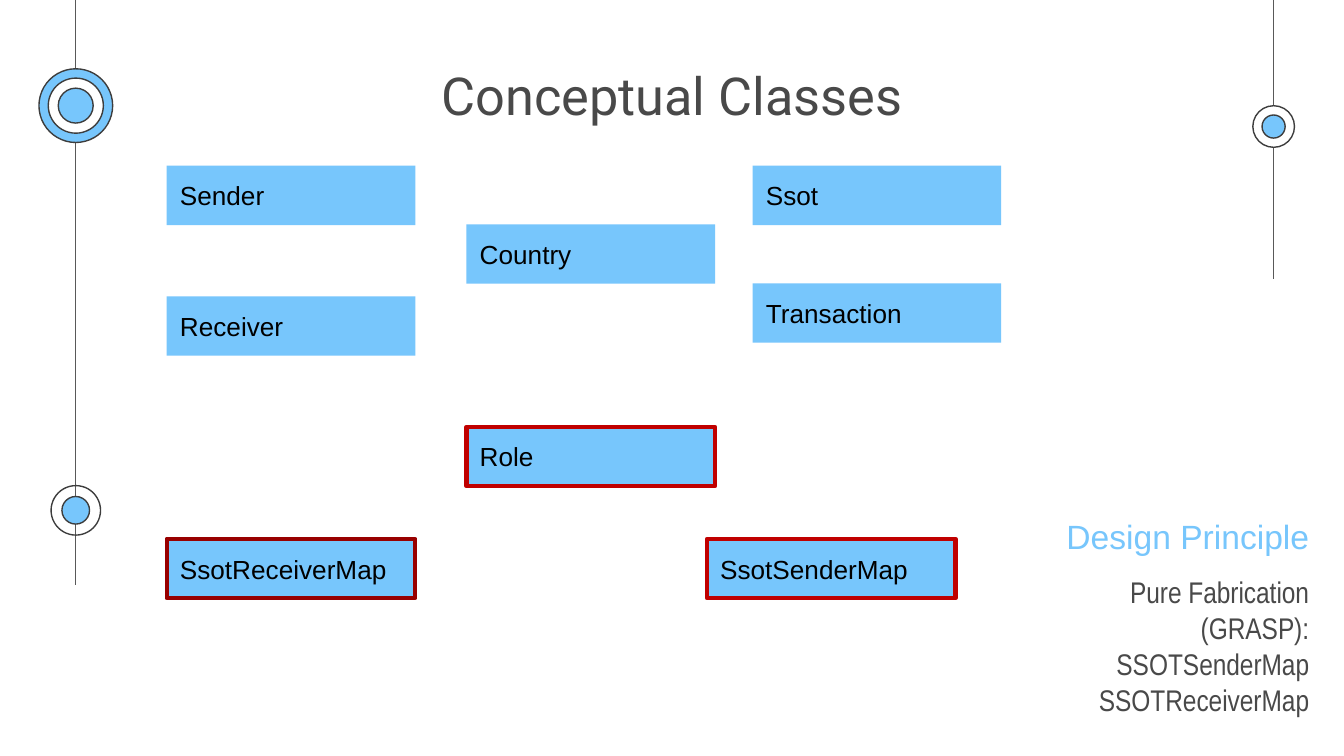
from pptx import Presentation
from pptx.dml.color import RGBColor
from pptx.enum.shapes import MSO_CONNECTOR as Connector, MSO_SHAPE as Shape
from pptx.enum.text import MSO_ANCHOR as Anchor, MSO_AUTO_SIZE as AutoSize, PP_ALIGN as Align
from pptx.oxml.ns import qn
from pptx.util import Pt
from lxml import etree

COLORS = {
    "blue": "77C6FC",
    "white": "FFFFFF",
    "outline": "3D3D3D",
    "rail": "595959",
    "gray": "494949",
    "black": "000000",
    "red": "C00000",
    "dark_red": "980000",
}
CLASS_W, CLASS_H = 133.2, 31.8
LEFT, MIDDLE, RIGHT = 89.3, 249.9, 403.2
CLASSES = [  # name, left, top, border
    ("Sender", LEFT, 88.8, None),
    ("SsotReceiverMap", LEFT, 288.7, "dark_red"),
    ("Receiver", LEFT, 158.8, None),
    ("Transaction", RIGHT, 151.8, None),
    ("SsotSenderMap", 378.7, 288.7, "red"),
    ("Ssot", RIGHT, 88.8, None),
    ("Country", MIDDLE, 120.2, None),
    ("Role", MIDDLE, 228.7, "red"),
]


def rgb(name):
    return RGBColor.from_string(COLORS[name])


def place(shape, box):
    shape.left, shape.top, shape.width, shape.height = map(Pt, box)


def write(shape, *texts, size, font="Arial", color="gray", align=Align.LEFT,
          anchor=Anchor.TOP, indent=0, auto_size=AutoSize.NONE):
    """Fill a shape with one paragraph per text; a newline is a line break."""
    frame = shape.text_frame
    frame.word_wrap = True
    frame.auto_size = auto_size
    frame.vertical_anchor = anchor
    frame.margin_left = frame.margin_right = Pt(7.2)
    frame.margin_top = frame.margin_bottom = Pt(7.2)
    for index, text in enumerate(texts):
        para = frame.add_paragraph() if index else frame.paragraphs[0]
        para.text = text
        para.alignment = align
        if indent:
            props = para._p.get_or_add_pPr()
            props.set("marL", str(Pt(indent)))
            props.set("indent", "0")
        for span in para.runs:
            span.font.name = font
            span.font.size = Pt(size)
            span.font.color.rgb = rgb(color)


def add_filled(page, kind, box, fill, line=None, line_width=0.75):
    shape = page.shapes.add_shape(kind, *map(Pt, box))
    shape.shadow.inherit = False
    if fill:
        shape.fill.solid()
        shape.fill.fore_color.rgb = rgb(fill)
    else:
        shape.fill.background()
    if line:
        shape.line.color.rgb = rgb(line)
        shape.line.width = Pt(line_width)
    else:
        shape.line.fill.background()
    return shape


def add_rail(page, x, bottom):
    rail = page.shapes.add_connector(Connector.STRAIGHT, Pt(x), 0, Pt(x), Pt(bottom))
    rail.line.color.rgb = rgb("rail")
    rail.line.width = Pt(0.75)
    etree.SubElement(rail._element.spPr, qn("a:effectLst"))


def add_node(page, x, y, rings):
    """Draw concentric circles, given as (diameter, fill) from the outside in."""
    for size, fill in rings:
        box = (x - size / 2, y - size / 2, size, size)
        add_filled(page, Shape.OVAL, box, fill, "outline")


def add_decoration(page):
    left, right = 40.6, 682.3
    add_rail(page, left, 313.2)
    add_rail(page, right, 149.6)
    add_node(page, left, 273.4, [(26.5, None), (14.8, "blue")])
    add_node(page, right, 67.8, [(22.3, "white"), (12.4, "blue")])
    add_node(page, left, 56.6, [(39.5, "blue"), (29.5, "white"), (18.7, "blue")])


def add_title(page, box):
    title = page.shapes.title
    place(title, box)
    write(title, "Conceptual Classes", size=28, font="Roboto", align=Align.CENTER)


def add_class(page, box, name, border):
    shape = add_filled(page, Shape.RECTANGLE, box, "blue", border, 2.25)
    write(shape, name, size=14, color="black", anchor=Anchor.MIDDLE,
          auto_size=AutoSize.SHAPE_TO_FIT_TEXT)


def add_principle(page, box):
    left, top, width, height = box
    heading_h, body_top = 29.5, 31
    heading = page.shapes.add_textbox(*map(Pt, (left + 9.4, top, width - 9.4, heading_h)))
    write(heading, "Design Principle", size=18, color="blue", align=Align.RIGHT)
    body = page.shapes.add_textbox(*map(Pt, (left, top + body_top, width, height - body_top)))
    write(body, "Pure Fabrication (GRASP):", "SSOTSenderMap\nSSOTReceiverMap",
          size=16, font="Arial Narrow", align=Align.RIGHT, indent=36)


def main():
    deck = Presentation()
    deck.slide_width, deck.slide_height = Pt(720), Pt(405)
    page = deck.slides.add_slide(deck.slide_layouts.get_by_name("Title Only"))
    add_decoration(page)
    add_title(page, (125.3, 26.6, 469.4, 45.4))
    add_principle(page, (502.6, 269.3, 205.9, 90.7))
    for name, left, top, border in CLASSES:
        add_class(page, (left, top, CLASS_W, CLASS_H), name, border)
    deck.save("out.pptx")


if __name__ == "__main__":
    main()
